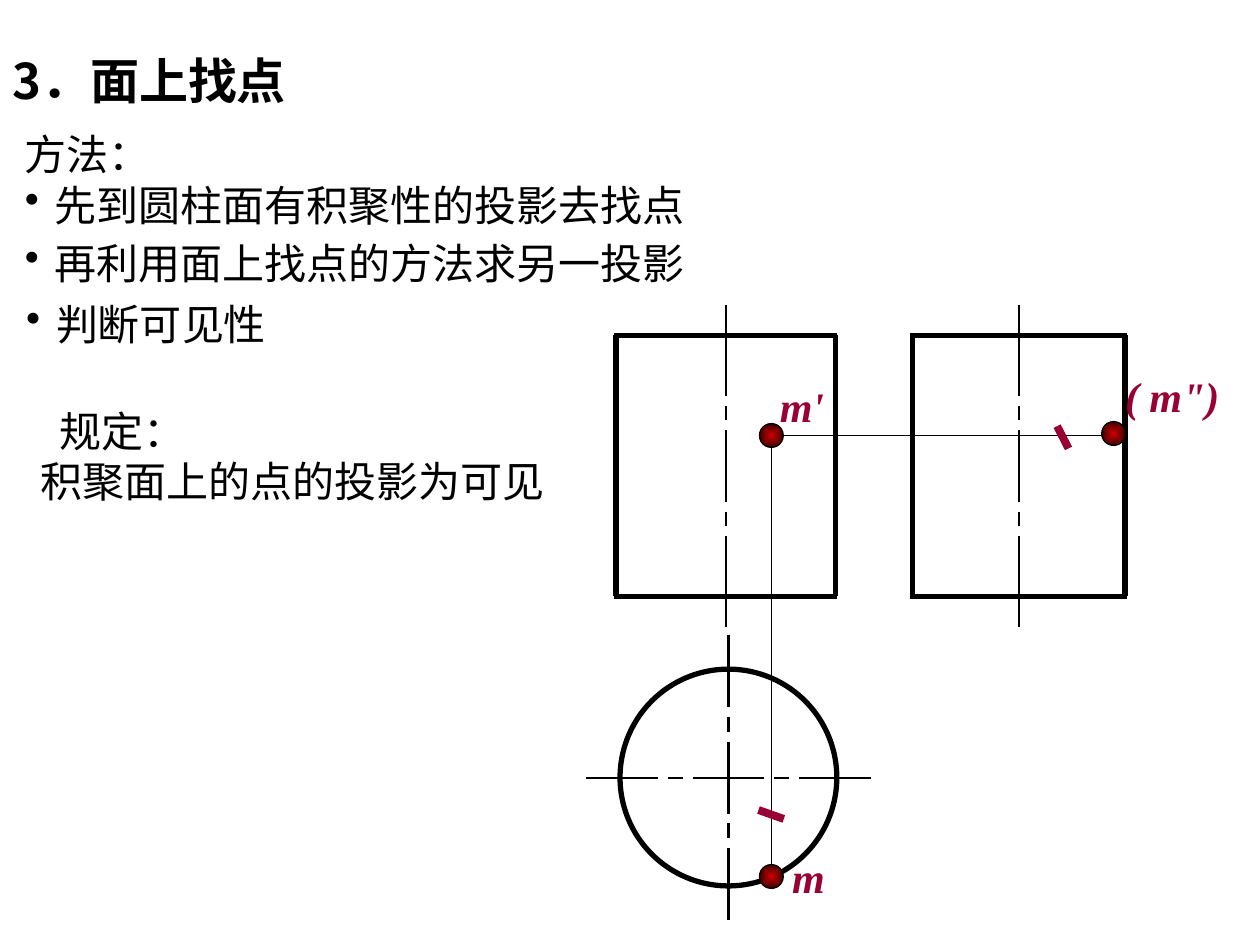
import collections

import pptx
import pptx.dml.color
import pptx.enum.shapes
import pptx.enum.text
import pptx.oxml.ns
import pptx.util
from lxml import etree

Cm, Pt = pptx.util.Cm, pptx.util.Pt
RGBColor = pptx.dml.color.RGBColor
qn = pptx.oxml.ns.qn
MIDDLE = pptx.enum.text.MSO_ANCHOR.MIDDLE
TOP = pptx.enum.text.MSO_ANCHOR.TOP
STRAIGHT = pptx.enum.shapes.MSO_CONNECTOR.STRAIGHT
OVAL = pptx.enum.shapes.MSO_SHAPE.OVAL

BLACK = RGBColor(0x00, 0x00, 0x00)
CRIMSON = RGBColor(0x99, 0x00, 0x33)
DOT_CENTRE = RGBColor(0xCC, 0x00, 0x00)
DOT_RIM = RGBColor(0x3C, 0x00, 0x00)

CHINESE = "Noto Sans CJK SC"
TITLE = {"name": CHINESE, "size": Pt(28), "bold": True}
BODY = {"name": CHINESE, "size": Pt(24)}
LABEL = {"name": "Times New Roman", "size": Pt(24), "bold": True, "italic": True}

OUTLINE, THIN, AXIS, TICK, RIM = 3, 1, 1.2, 4.5, 0.75
DOT = 0.48
DASH_GAP, SHORT_DASH, LONG_DASH = 0.2, 0.29, 1.45

# All boxes are in centimetres.
Box = collections.namedtuple("Box", "left top width height")
Line = collections.namedtuple("Line", "text indent bullet", defaults=(0, False))


def add_line(shapes, start, end, weight, color=BLACK):
    line = shapes.add_connector(STRAIGHT, *(Cm(value) for value in (*start, *end)))
    line.line.color.rgb = color
    line.line.width = Pt(weight)
    etree.SubElement(line.element.spPr, qn("a:effectLst"))


def add_text(shapes, box, lines, style, color=BLACK, anchor=MIDDLE, wrap=True, spacing=None):
    frame = shapes.add_textbox(*map(Cm, box)).text_frame
    frame.word_wrap = wrap
    frame.vertical_anchor = anchor
    for number, line in enumerate(lines):
        paragraph = frame.add_paragraph() if number else frame.paragraphs[0]
        if spacing:
            paragraph.line_spacing = spacing
        properties = paragraph._p.get_or_add_pPr()
        properties.set("marL", str(Cm(line.indent)))
        if line.bullet:
            properties.set("indent", str(-Cm(line.indent)))
            etree.SubElement(properties, qn("a:buChar")).set("char", "•")
        run = paragraph.add_run()
        run.text = line.text
        for name, value in style.items():
            setattr(run.font, name, value)
        run.font.color.rgb = color
        east_asian = etree.SubElement(run._r.get_or_add_rPr(), qn("a:ea"))
        east_asian.set("typeface", style["name"])


def add_notes_on_method(shapes, box):
    """Place the title, the bulleted method and the visibility rule."""
    def bullet(text):
        return Line(text, 0.6, True)

    blocks = [
        (0, 0.89, 8.94, 1.45, TITLE, [Line("3．面上找点")]),
        (0.25, 2.46, 14.25, 2.31, BODY,
         [Line("方法："), bullet("先到圆柱面有积聚性的投影去找点")]),
        (0.25, 4.65, 14.4, 1.27, BODY, [bullet("再利用面上找点的方法求另一投影")]),
        (0.28, 5.89, 7.44, 1.27, BODY, [bullet("判断可见性")]),
        (0.56, 8.03, 11.66, 2.31, BODY,
         [Line("规定：", 0.4), Line("积聚面上的点的投影为可见")]),
    ]
    for left, top, width, height, style, lines in blocks:
        place = Box(box.left + left, box.top + top, width, height)
        add_text(shapes, place, lines, style, spacing=Pt(29) if style is BODY else None)


def add_axis(shapes, centre, length, vertical):
    """Draw a centre line: long and short dashes with equal gaps, in one group."""
    end_dash = (length - 2 * SHORT_DASH - LONG_DASH - 4 * DASH_GAP) / 2
    group = shapes.add_group_shape().shapes
    x, y = centre
    offset = -length / 2
    for dash in (end_dash, SHORT_DASH, LONG_DASH, SHORT_DASH, end_dash):
        ends = (offset, offset + dash)
        points = [(x, y + end) if vertical else (x + end, y) for end in ends]
        add_line(group, *points, AXIS)
        offset += dash + DASH_GAP


def add_cylinder_side(shapes, box):
    """Draw the rectangular view of the cylinder with its upright axis."""
    right, bottom = box.left + box.width, box.top + box.height
    overlap = 0.04
    for y in (box.top, bottom):
        add_line(shapes, (box.left - overlap, y), (right + overlap, y), OUTLINE)
    for x in (box.left, right):
        add_line(shapes, (x, box.top), (x, bottom), OUTLINE)
    centre = (box.left + box.width / 2, box.top + box.height / 2)
    add_axis(shapes, centre, box.height + 1.22, vertical=True)


def add_cylinder_top(shapes, box):
    """Draw the round view of the cylinder with both axes."""
    circle = shapes.add_shape(OVAL, *map(Cm, box))
    circle.shadow.inherit = False
    circle.fill.background()
    circle.line.color.rgb = BLACK
    circle.line.width = Pt(OUTLINE)
    centre = (box.left + box.width / 2, box.top + box.height / 2)
    for vertical in (False, True):
        add_axis(shapes, centre, box.width + 1.37, vertical)


def add_dot(shapes, centre):
    x, y = centre
    dot = shapes.add_shape(OVAL, Cm(x - DOT / 2), Cm(y - DOT / 2), Cm(DOT), Cm(DOT))
    dot.shadow.inherit = False
    dot.fill.gradient()
    for stop, color in zip(dot.fill.gradient_stops, (DOT_CENTRE, DOT_RIM)):
        stop.color.rgb = color
    gradient = dot.element.spPr.find(qn("a:gradFill"))
    gradient.remove(gradient.find(qn("a:lin")))
    shading = etree.SubElement(gradient, qn("a:path"))
    shading.set("path", "shape")
    focus = etree.SubElement(shading, qn("a:fillToRect"))
    for side in "ltrb":
        focus.set(side, "50000")
    dot.line.color.rgb = BLACK
    dot.line.width = Pt(RIM)


def add_point_projections(shapes, box):
    """Mark the point in all three views, with its projection lines and ticks."""
    def at(x, y):
        return box.left + x, box.top + y

    front, top, side = at(3.76, 2.63), at(3.76, 11.52), at(10.66, 2.59)
    add_line(shapes, front, (front[0], top[1]), THIN)
    add_line(shapes, front, (side[0], front[1]), THIN)
    add_line(shapes, at(3.5, 10.18), at(4.01, 10.36), TICK, CRIMSON)
    add_line(shapes, at(9.52, 2.44), at(9.75, 2.89), TICK, CRIMSON)
    for point in (front, top, side):
        add_dot(shapes, point)
    for text, corner, width in (
        ("m'", at(3.68, 1.39), 1.47),
        ("m", at(3.93, 10.89), 1.17),
        ('( m")', at(10.64, 1.19), 2.59),
    ):
        add_text(shapes, Box(*corner, width, 1.27), [Line(text)], LABEL,
                 CRIMSON, TOP, wrap=False)


def main():
    deck = pptx.Presentation()
    deck.slide_width, deck.slide_height = Cm(25.4), Cm(19.05)
    shapes = deck.slides.add_slide(deck.slide_layouts[6]).shapes
    add_notes_on_method(shapes, Box(0, 0, 15, 10.4))
    add_cylinder_side(shapes, Box(12.42, 6.76, 4.42, 5.26))
    add_cylinder_side(shapes, Box(18.39, 6.76, 4.29, 5.26))
    add_cylinder_top(shapes, Box(12.5, 13.49, 4.37, 4.37))
    add_point_projections(shapes, Box(11.79, 6.15, 13.2, 12.4))
    deck.save("out.pptx")


if __name__ == "__main__":
    main()
